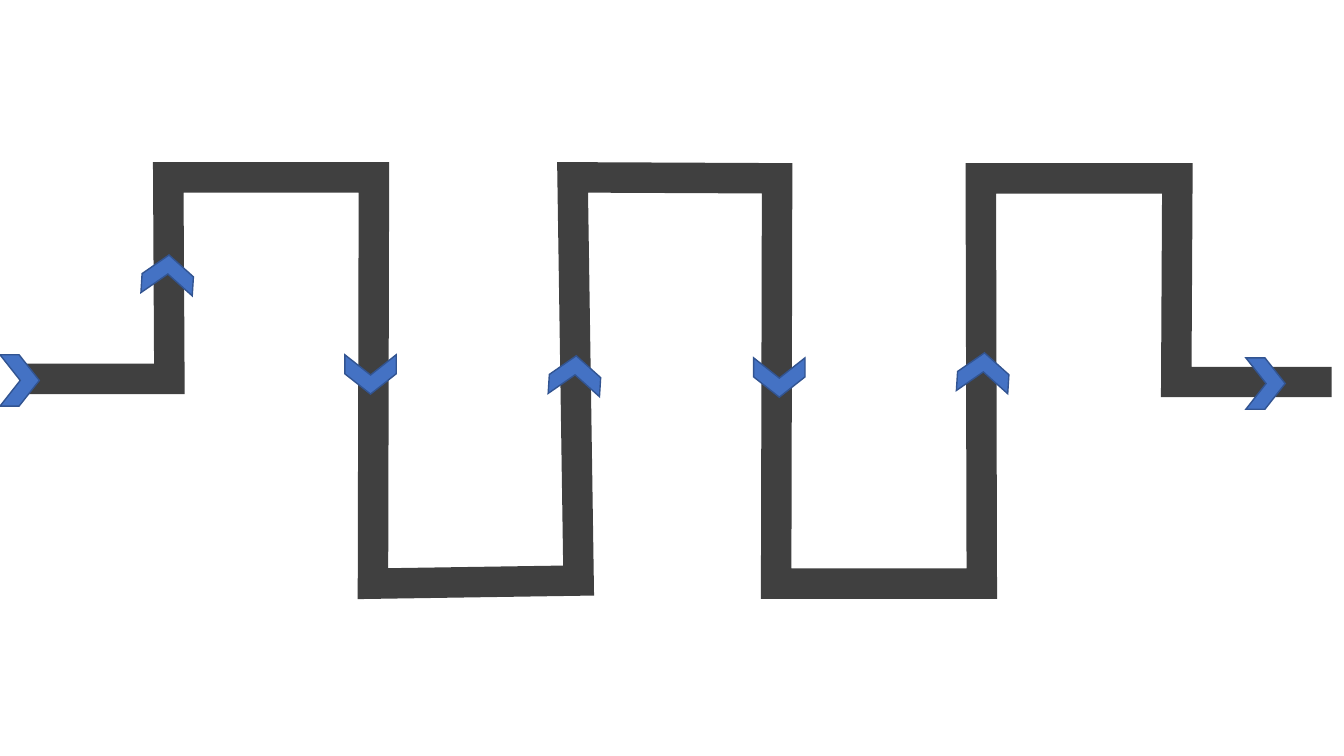
from dataclasses import dataclass

from lxml import etree
from pptx import Presentation
from pptx import util as u
from pptx.dml.color import RGBColor
from pptx.enum import shapes
from pptx.oxml import ns
from pptx.shapes.autoshape import Shape
from pptx.shapes.shapetree import SlideShapes

COLORS = {"road": "404040", "chevron": "4472C4", "outline": "325491"}
CHEVRON_WIDTH, CHEVRON_HEIGHT, CHEVRON_DEPTH = 28.1, 36.7, 0.515
RIGHT, DOWN, UP = 0, 90, 273.6

ROAD = [
    (14.4, 270.7), (121, 270.7), (120.2, 126.7), (267.1, 126.7),
    (266.4, 416.9), (413.3, 414.7), (409, 126.7), (555.1, 127.4),
    (554.4, 416.9), (701.3, 416.9), (700.6, 127.4), (841, 127.4),
    (840.2, 272.9), (951.1, 272.9),
]


@dataclass
class Chevron:
    left: float
    top: float
    rotation: float


CHEVRONS = [
    Chevron(0, 253.4, RIGHT),
    Chevron(105.8, 177.8, UP),
    Chevron(396.7, 249.8, UP),
    Chevron(688.3, 247.7, UP),
    Chevron(250.6, 249.1, DOWN),
    Chevron(542.6, 251.3, DOWN),
    Chevron(889.9, 255.6, RIGHT),
]


def style_line(shape: Shape, color: str, width: float) -> None:
    shape.shadow.inherit = False
    shape.line.color.rgb = RGBColor.from_string(COLORS[color])
    shape.line.width = u.Pt(width)
    line = shape.element.spPr.find(ns.qn("a:ln"))
    etree.SubElement(line, ns.qn("a:miter"), lim="800000")


def draw_road(canvas: SlideShapes) -> None:
    points = [(u.Pt(x), u.Pt(y)) for x, y in ROAD]
    builder = canvas.build_freeform(*points[0])
    builder.add_line_segments(points[1:], close=False)
    road = builder.convert_to_shape()
    road.fill.background()
    style_line(road, "road", 21.75)


def draw_chevron(canvas: SlideShapes, chevron: Chevron) -> None:
    shape = canvas.add_shape(
        shapes.MSO_SHAPE.CHEVRON,
        u.Pt(chevron.left), u.Pt(chevron.top),
        u.Pt(CHEVRON_WIDTH), u.Pt(CHEVRON_HEIGHT),
    )
    shape.adjustments[0] = CHEVRON_DEPTH
    shape.rotation = chevron.rotation
    shape.fill.solid()
    shape.fill.fore_color.rgb = RGBColor.from_string(COLORS["chevron"])
    style_line(shape, "outline", 1)


def main() -> None:
    deck = Presentation()
    deck.slide_width, deck.slide_height = u.Pt(960), u.Pt(540)
    page = deck.slides.add_slide(deck.slide_layouts[6])
    draw_road(page.shapes)
    for chevron in CHEVRONS:
        draw_chevron(page.shapes, chevron)
    deck.save("out.pptx")


if __name__ == "__main__":
    main()
